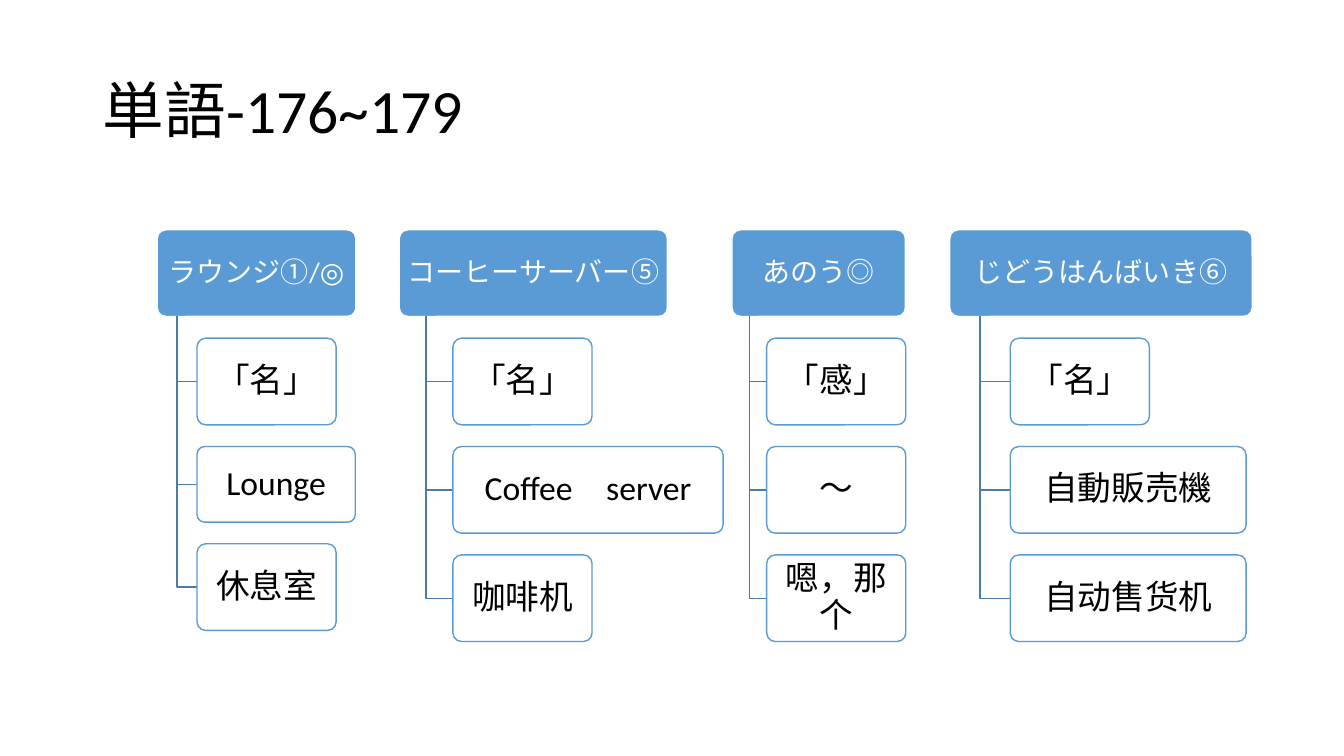
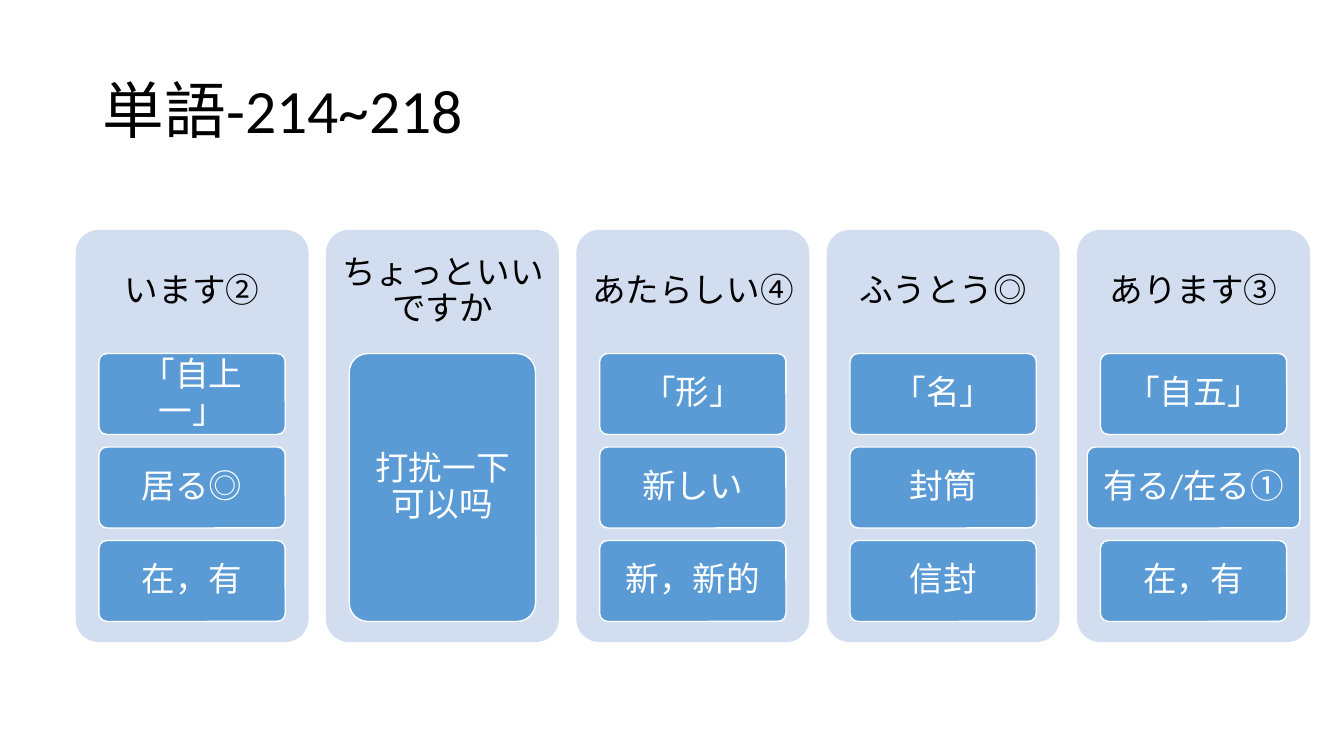
from lxml import etree
from pptx import Presentation
from pptx.dml.color import RGBColor
from pptx.enum.shapes import MSO_SHAPE
from pptx.enum.text import MSO_ANCHOR, MSO_AUTO_SIZE, PP_ALIGN
from pptx.oxml.ns import qn
from pptx.util import Inches, Pt

ROUNDED = MSO_SHAPE.ROUNDED_RECTANGLE
MIDDLE = MSO_ANCHOR.MIDDLE
LEFT = PP_ALIGN.LEFT
CENTER = PP_ALIGN.CENTER
NO_AUTOFIT = MSO_AUTO_SIZE.NONE

COLORS = {
    "accent": "5B9BD5",
    "branch": "497CAB",
    "panel": "D2DEEF",
    "white": "FFFFFF",
    "black": "000000",
}
FONT = "Calibri"
DIAGRAM_TOP = 2.28

TREE_TITLE = "単語-176~179"
TREE_HEIGHT = 0.86
TREE_GAP = TREE_HEIGHT / 4
TREES = [
    (1.56, 1.97, "ラウンジ①/◎",
     [("「名」", 1.38, 0.86), ("Lounge", 1.57, 0.75), ("休息室", 1.38, 0.86)]),
    (3.96, 2.66, "コーヒーサーバー⑤",
     [("「名」", 1.38, 0.86), ("Coffee　server", 2.68, 0.86), ("咖啡机", 1.38, 0.86)]),
    (7.26, 1.72, "あのう◎",
     [("「感」", 1.38, 0.86), ("～", 1.38, 0.86), ("嗯，那个", 1.38, 0.86)]),
    (9.42, 3, "じどうはんばいき⑥",
     [("「名」", 1.38, 0.86), ("自動販売機", 2.34, 0.86), ("自动售货机", 2.34, 0.86)]),
]

PANEL_TITLE = "単語-214~218"
PANEL_LEFT, PANEL_WIDTH, PANEL_HEIGHT = 0.75, 2.31, 4.09
PANEL_PITCH = PANEL_WIDTH * 1.075
HEADING_HEIGHT = PANEL_HEIGHT * 0.3
LIST_HEIGHT = PANEL_HEIGHT * 0.65
CARD_WIDTH = PANEL_WIDTH * 0.8
CARD_GAP_RATIO = 2 / 13
WIDE_CARDS = {"有る/在る①": 2.11}
PANELS = [
    ("います②", ["「自上一」", "居る◎", "在，有"]),
    ("ちょっといいですか", ["打扰一下可以吗"]),
    ("あたらしい④", ["「形」", "新しい", "新，新的"]),
    ("ふうとう◎", ["「名」", "封筒", "信封"]),
    ("あります③", ["「自五」", "有る/在る①", "在，有"]),
]


def write_text(shape, text, size, color, margins=(0.1, 0.05), alignment=CENTER):
    frame = shape.text_frame
    frame.word_wrap = True
    frame.auto_size = NO_AUTOFIT
    frame.vertical_anchor = MIDDLE
    frame.margin_left = frame.margin_right = Inches(margins[0])
    frame.margin_top = frame.margin_bottom = Inches(margins[1])
    paragraph = frame.paragraphs[0]
    paragraph.alignment = alignment
    paragraph.line_spacing = 0.9
    run = paragraph.add_run()
    run.text = text
    run.font.name = FONT
    run.font.size = Pt(size)
    run.font.color.rgb = RGBColor.from_string(COLORS[color])


def add_box(slide, left, top, width, height, fill, line=None):
    shape = slide.shapes.add_shape(
        ROUNDED, Inches(left), Inches(top), Inches(width), Inches(height))
    shape.adjustments[0] = 0.1
    shape.shadow.inherit = False
    shape.fill.solid()
    shape.fill.fore_color.rgb = RGBColor.from_string(COLORS[fill])
    if line:
        shape.line.color.rgb = RGBColor.from_string(COLORS[line])
        shape.line.width = Pt(1)
    else:
        shape.line.fill.background()
    return shape


presentation = Presentation()
presentation.slide_width = Inches(13.33)
presentation.slide_height = Inches(7.5)
layout = presentation.slide_layouts.get_by_name("Title Only")

slides = []
for title in (TREE_TITLE, PANEL_TITLE):
    slide = presentation.slides.add_slide(layout)
    placeholder = slide.shapes.title
    placeholder.left, placeholder.top = Inches(0.92), Inches(0.4)
    placeholder.width, placeholder.height = Inches(11.5), Inches(1.45)
    write_text(placeholder, title, 44, "black", alignment=LEFT)
    slides.append(slide)
tree_slide, panel_slide = slides

for left, width, word, items in TREES:
    header = add_box(tree_slide, left, DIAGRAM_TOP, width, TREE_HEIGHT, "accent", "white")
    write_text(header, word, 20, "white", (0.04, 0.03))
    stem = left + width * 0.1
    item_left = left + width * 0.2
    header_bottom = DIAGRAM_TOP + TREE_HEIGHT
    top = header_bottom + TREE_GAP
    for text, item_width, item_height in items:
        middle = top + item_height / 2
        builder = tree_slide.shapes.build_freeform(Inches(stem), Inches(header_bottom))
        builder.add_line_segments(
            [(Inches(stem), Inches(middle)), (Inches(item_left), Inches(middle))], close=False)
        branch = builder.convert_to_shape()
        branch.shadow.inherit = False
        branch.fill.background()
        branch.line.color.rgb = RGBColor.from_string(COLORS["branch"])
        branch.line.width = Pt(1)

        item = add_box(tree_slide, item_left, top, item_width, item_height, "white", "accent")
        fill_color = item.element.spPr.find(qn("a:solidFill")).find(qn("a:srgbClr"))
        etree.SubElement(fill_color, qn("a:alpha")).set("val", "90000")
        write_text(item, text, 24, "black", (0.05, 0.03))
        top += item_height + TREE_GAP

for index, (word, cards) in enumerate(PANELS):
    left = PANEL_LEFT + index * PANEL_PITCH
    add_box(panel_slide, left, DIAGRAM_TOP, PANEL_WIDTH, PANEL_HEIGHT, "panel")
    heading = panel_slide.shapes.add_textbox(
        Inches(left), Inches(DIAGRAM_TOP), Inches(PANEL_WIDTH), Inches(HEADING_HEIGHT))
    write_text(heading, word, 24, "black", (0.1, 0.1))
    card_height = LIST_HEIGHT / (len(cards) + (len(cards) - 1) * CARD_GAP_RATIO)
    for row, text in enumerate(cards):
        card_width = WIDE_CARDS.get(text, CARD_WIDTH)
        card_left = left + (PANEL_WIDTH - card_width) / 2
        card_top = DIAGRAM_TOP + HEADING_HEIGHT + row * card_height * (1 + CARD_GAP_RATIO)
        card = add_box(
            panel_slide, card_left, card_top, card_width, card_height, "accent", "white")
        write_text(card, text, 24, "white", (0.07, 0.05))

presentation.save("out.pptx")
